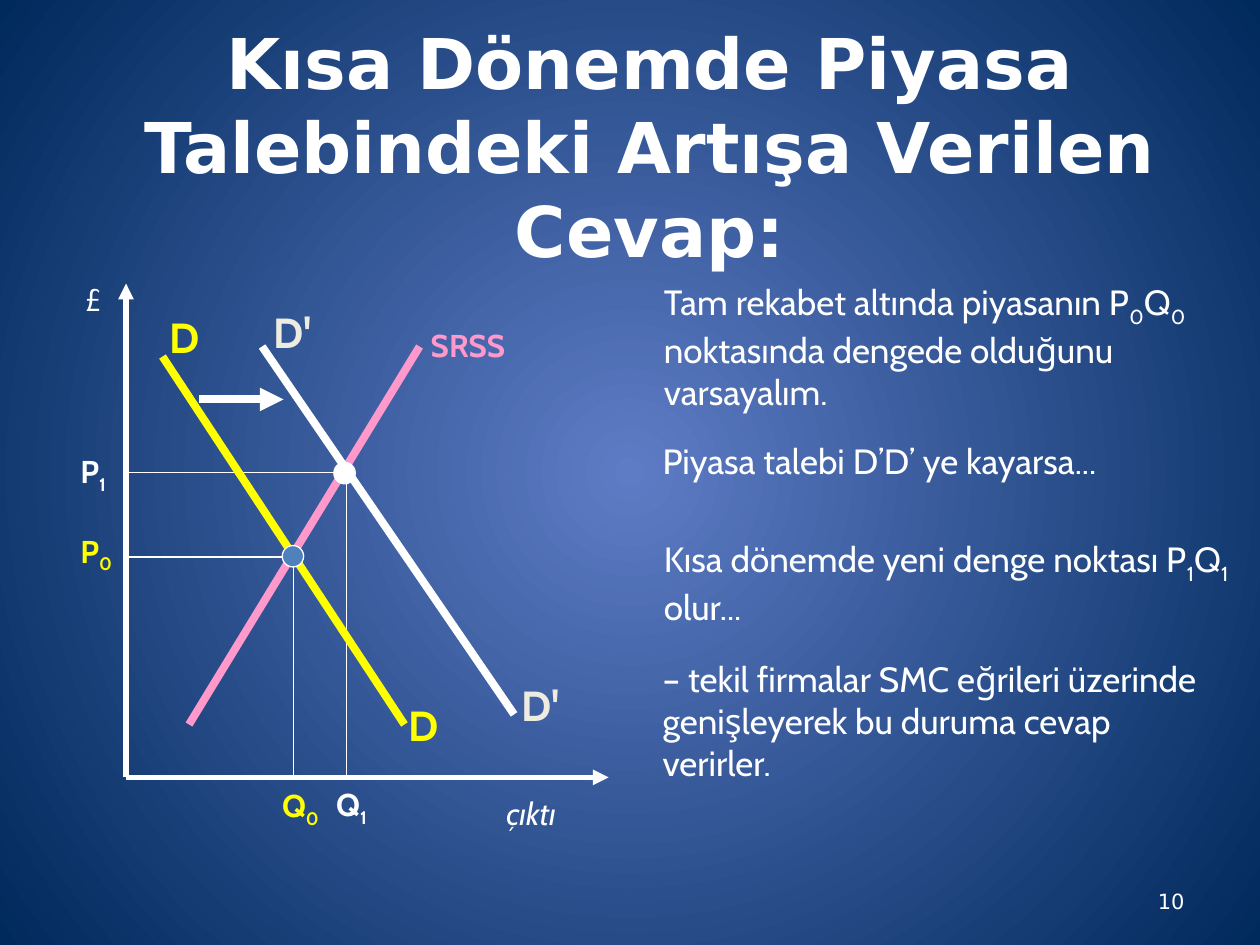
from dataclasses import dataclass

import lxml.etree
import pptx
import pptx.dml.color
import pptx.enum.shapes
import pptx.enum.text
import pptx.oxml
import pptx.oxml.ns
import pptx.util

Inches = pptx.util.Inches
Align = pptx.enum.text.PP_ALIGN
Anchor = pptx.enum.text.MSO_ANCHOR


@dataclass(frozen=True)
class Theme:
    white: str = "FFFFFF"
    yellow: str = "FFFF00"
    pink: str = "FF99CC"
    cream: str = "EEECE1"
    blue: str = "4F81BD"
    glow: str = "5E7CC5"
    navy: str = "00295C"
    heading_font: str = "DejaVu Sans"
    body_font: str = "Cabin"
    title: int = 40
    curve_label: int = 24
    body: int = 20
    label: int = 18
    number: int = 12
    guide: float = 0.75
    axis: float = 3
    curve: float = 4.5


THEME = Theme()


@dataclass(frozen=True)
class Label:
    """Text in which every second piece between bars is a subscript."""
    text: str
    left: float
    top: float
    width: float
    height: float
    size: int = THEME.label
    color: str = THEME.white
    font: str = THEME.body_font
    bold: bool = False
    italic: bool = False
    wrap: bool = False
    grow: bool = True
    align: Align = Align.LEFT
    anchor: Anchor = Anchor.TOP


@dataclass(frozen=True)
class Line:
    start: tuple[float, float]
    end: tuple[float, float]
    width: float
    color: str = THEME.white
    arrow: bool = False


@dataclass(frozen=True)
class Point:
    left: float
    top: float
    fill: str
    size: float = 0.17


def rgb(value: str) -> pptx.dml.color.RGBColor:
    return pptx.dml.color.RGBColor.from_string(value)


def paint_background(page) -> None:
    fill = page.background.fill
    fill.gradient()
    for stop, color, position in zip(fill.gradient_stops, (THEME.glow, THEME.navy), (0, 1)):
        stop.color.rgb = rgb(color)
        stop.position = position
    gradient = page.background._cSld.find(".//" + pptx.oxml.ns.qn("a:gradFill"))
    linear = gradient.find(pptx.oxml.ns.qn("a:lin"))
    radial = pptx.oxml.parse_xml(
        f'<a:path {pptx.oxml.ns.nsdecls("a")} path="circle">'
        '<a:fillToRect l="50000" t="50000" r="50000" b="50000"/></a:path>')
    gradient.replace(linear, radial)


def draw_label(page, label: Label) -> None:
    box = page.shapes.add_textbox(*map(Inches, (label.left, label.top, label.width, label.height)))
    frame = box.text_frame
    frame.word_wrap = label.wrap
    frame.vertical_anchor = label.anchor
    if label.grow:
        frame.auto_size = pptx.enum.text.MSO_AUTO_SIZE.SHAPE_TO_FIT_TEXT
    para = frame.paragraphs[0]
    para.alignment = label.align
    for index, piece in enumerate(label.text.split("|")):
        if not piece:
            continue
        span = para.add_run()
        span.text = piece
        span.font.name = label.font
        span.font.size = pptx.util.Pt(label.size)
        span.font.bold = label.bold
        span.font.italic = label.italic
        span.font.color.rgb = rgb(label.color)
        if index % 2:
            span.font._element.set("baseline", "-25000")


def draw_line(page, line: Line) -> None:
    connector = page.shapes.add_connector(
        pptx.enum.shapes.MSO_CONNECTOR.STRAIGHT, *map(Inches, line.start + line.end))
    connector.line.color.rgb = rgb(line.color)
    connector.line.width = pptx.util.Pt(line.width)
    if line.arrow:
        outline = connector.line._get_or_add_ln()
        lxml.etree.SubElement(outline, pptx.oxml.ns.qn("a:tailEnd"), type="triangle")
    lxml.etree.SubElement(connector._element.spPr, pptx.oxml.ns.qn("a:effectLst"))


def draw_point(page, point: Point) -> None:
    dot = page.shapes.add_shape(
        pptx.enum.shapes.MSO_SHAPE.OVAL,
        *map(Inches, (point.left, point.top, point.size, point.size)))
    dot.shadow.inherit = False
    dot.fill.solid()
    dot.fill.fore_color.rgb = rgb(point.fill)
    dot.line.color.rgb = rgb(THEME.white)
    dot.line.width = pptx.util.Pt(THEME.guide)


def body(text: str, left: float, top: float, width: float, height: float,
         wrap: bool = True) -> Label:
    return Label(text, left, top, width, height, THEME.body, wrap=wrap)


def curve_name(text: str, left: float, top: float, width: float, color: str) -> Label:
    return Label(text, left, top, width, 0.5, THEME.curve_label, color, bold=True)


def guides(x: float, y: float) -> list[Line]:
    """Thin lines from an equilibrium to both axes."""
    return [Line((x, y), end, THEME.guide) for end in ((ORIGIN[0], y), (x, ORIGIN[1]))]


ORIGIN = (1, 6.17)

TEXTS = [
    Label("Kısa Dönemde Piyasa Talebindeki Artışa Verilen Cevap:", 0.31, 0.39, 9.69, 1.53,
          THEME.title, font=THEME.heading_font, bold=True, wrap=True, grow=False,
          align=Align.CENTER, anchor=Anchor.MIDDLE),
    Label("10", 7.17, 6.95, 2.33, 0.4, THEME.number, font=THEME.heading_font, wrap=True,
          grow=False, align=Align.RIGHT, anchor=Anchor.MIDDLE),
    body("Tam rekabet altında piyasanın P|0|Q|0 |noktasında dengede olduğunu varsayalım.",
         5.17, 2.18, 4.83, 1.1),
    body("Piyasa talebi D’D’ ye kayarsa...", 5.16, 3.44, 3.98, 0.44, wrap=False),
    body("Kısa dönemde yeni denge noktası P|1|Q|1 |olur...", 5.17, 4.22, 4.83, 0.77),
    body("– tekil firmalar SMC eğrileri üzerinde genişleyerek bu duruma cevap verirler.",
         5.16, 5.17, 4.48, 1.1),
]

# Back to front: guides, axes, old equilibrium, then the shifted demand
DIAGRAM = [
    *guides(2.75, 3.75),
    Line(ORIGIN, (4.83, ORIGIN[1]), THEME.axis, arrow=True),
    Line(ORIGIN, (ORIGIN[0], 2.25), THEME.axis, arrow=True),
    Line((1.29, 2.83), (3.21, 5.75), THEME.curve, THEME.yellow),
    Line((1.5, 5.75), (3.33, 2.75), THEME.curve, THEME.pink),
    *guides(2.33, 4.42),
    Point(2.24, 4.33, THEME.blue),
    Line((2.08, 2.75), (4.08, 5.67), THEME.curve),
    Line((1.58, 3.17), (2.25, 3.17), THEME.curve, arrow=True),
    Point(2.65, 3.67, THEME.white),
]

DIAGRAM_LABELS = [
    Label("£", 0.58, 2.17, 0.34, 0.4),
    Label("çıktı", 3.92, 6.25, 0.66, 0.4, italic=True),
    Label("Q|1", 2.57, 6.18, 0.49, 0.4, bold=True),
    Label("P|1", 0.54, 3.54, 0.46, 0.4, bold=True),
    Label("Q|0", 2.14, 6.19, 0.5, 0.4, color=THEME.yellow, bold=True),
    Label("P|0", 0.54, 4.17, 0.48, 0.4, color=THEME.yellow, bold=True),
    Label("SRSS", 3.32, 2.54, 0.88, 0.4, color=THEME.pink, bold=True),
    curve_name("D", 1.25, 2.42, 0.46, THEME.yellow),
    curve_name("D", 3.14, 5.5, 0.46, THEME.yellow),
    curve_name("D'", 2.07, 2.38, 0.52, THEME.cream),
    curve_name("D'", 4.04, 5.34, 0.52, THEME.cream),
]

DRAWERS = {Label: draw_label, Line: draw_line, Point: draw_point}


def main() -> None:
    deck = pptx.Presentation()
    deck.slide_width, deck.slide_height = Inches(10), Inches(7.5)
    page = deck.slides.add_slide(deck.slide_layouts[6])
    paint_background(page)
    for item in TEXTS + DIAGRAM + DIAGRAM_LABELS:
        DRAWERS[type(item)](page, item)
    deck.save("out.pptx")


if __name__ == "__main__":
    main()
